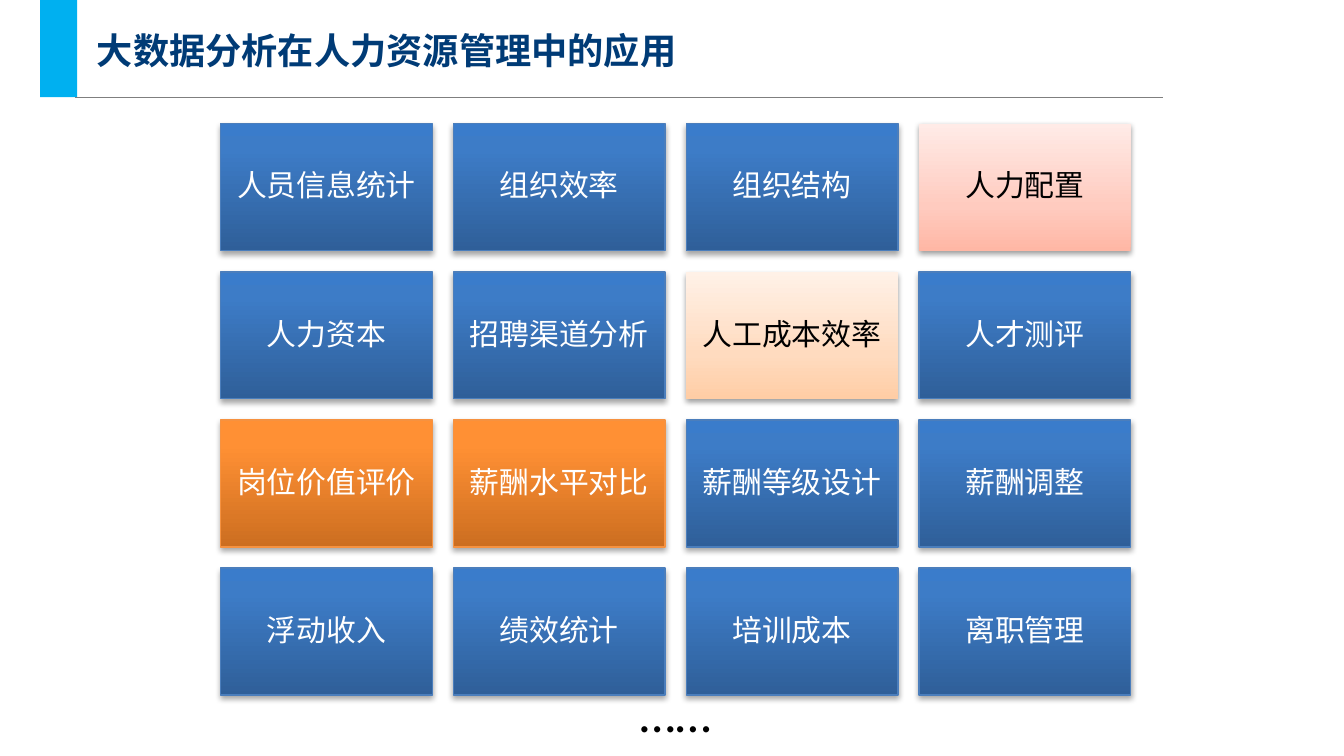
from lxml import etree
from pptx import Presentation
from pptx.dml.color import RGBColor
from pptx.enum.shapes import MSO_CONNECTOR, MSO_SHAPE
from pptx.enum.text import MSO_ANCHOR as ANCHOR, MSO_AUTO_SIZE as AUTO, PP_ALIGN as ALIGN
from pptx.oxml import parse_xml
from pptx.oxml.ns import nsdecls, qn
from pptx.util import Cm, Pt

TITLE = "大数据分析在人力资源管理中的应用"
MORE = "……"
TOPICS = [
    [("人员信息统计", "blue"), ("组织效率", "blue"), ("组织结构", "blue"), ("人力配置", "pink")],
    [("人力资本", "blue"), ("招聘渠道分析", "blue"), ("人工成本效率", "peach"), ("人才测评", "blue")],
    [("岗位价值评价", "orange"), ("薪酬水平对比", "orange"), ("薪酬等级设计", "blue"), ("薪酬调整", "blue")],
    [("浮动收入", "blue"), ("绩效统计", "blue"), ("培训成本", "blue"), ("离职管理", "blue")],
]

CYAN = RGBColor(0x00, 0xB0, 0xF0)
NAVY = RGBColor(0x00, 0x3B, 0x76)
GRAY = RGBColor(0x7F, 0x7F, 0x7F)
WHITE = RGBColor(0xFF, 0xFF, 0xFF)
BLACK = RGBColor(0x00, 0x00, 0x00)
BLUE_EDGE = RGBColor(0x4B, 0x7E, 0xBC)
ORANGE_EDGE = RGBColor(0xF6, 0x92, 0x40)

STYLES = {
    "blue": ([(0, "2F5F99"), (80, "3D7CC7"), (100, "3A7CCB")], BLUE_EDGE, WHITE),
    "orange": ([(0, "CC6E20"), (80, "FF9034"), (100, "FF9136")], ORANGE_EDGE, WHITE),
    "pink": ([(0, "FFB7A5"), (35, "FFCBBF"), (100, "FFEBE7")], None, BLACK),
    "peach": ([(0, "FFCDA5"), (35, "FFDBBF"), (100, "FFF1E7")], None, BLACK),
}
CJK = "Noto Sans CJK SC"
LEFT, TOP, TILE_W, TILE_H, GAP = 4.17, 2.34, 4, 2.4, 0.4


def write(tf, text, size, color, font=CJK, bold=False):
    tf.text = text
    p = tf.paragraphs[0]
    r = p.runs[0]
    r.font.size, r.font.bold, r.font.name = Pt(size), bold, font
    r.font.color.rgb = color
    etree.SubElement(r.font._element, qn("a:ea"), typeface=font)
    return p


def set_margins(tf, side, end):
    tf.margin_left = tf.margin_right = Cm(side)
    tf.margin_top = tf.margin_bottom = Cm(end)


def set_gradient(sp, stops):
    gs = "".join(f'<a:gs pos="{pos * 1000}"><a:srgbClr val="{c}"/></a:gs>' for pos, c in stops)
    sp._element.spPr.find(qn("a:prstGeom")).addnext(parse_xml(
        f'<a:gradFill {nsdecls("a")} rotWithShape="1"><a:gsLst>{gs}</a:gsLst>'
        '<a:lin ang="16200000" scaled="0"/></a:gradFill>'))


def set_shadow(sp, distance, opacity):
    sp.shadow.inherit = False
    sp._element.spPr.find(qn("a:effectLst")).append(parse_xml(
        f'<a:outerShdw {nsdecls("a")} blurRad="{Pt(3.1)}" dist="{Pt(distance)}" dir="5400000" '
        f'rotWithShape="0"><a:srgbClr val="000000"><a:alpha val="{opacity * 1000}"/>'
        '</a:srgbClr></a:outerShdw>'))


def add_tile(s, row, col, text, style):
    stops, edge, color = STYLES[style]
    sp = s.shapes.add_shape(
        MSO_SHAPE.RECTANGLE, Cm(LEFT + col * (TILE_W + GAP)), Cm(TOP + row * (TILE_H + GAP)),
        Cm(TILE_W), Cm(TILE_H))
    set_gradient(sp, stops)
    if edge:
        sp.line.color.rgb = edge
        sp.line.width = Pt(0.75)
        set_shadow(sp, 1.8, 35)
    else:
        sp.line.fill.background()
        set_shadow(sp, 1.6, 38)
    tf = sp.text_frame
    tf.word_wrap = True
    tf.vertical_anchor = ANCHOR.MIDDLE
    set_margins(tf, 0.17, 0.17)
    p = write(tf, text, 16, color)
    p.alignment = ALIGN.CENTER
    p.line_spacing = 0.9
    p.space_after = Pt(5.6)


def add_header(s):
    bar = s.shapes.add_shape(MSO_SHAPE.RECTANGLE, Cm(0.76), Cm(-0.05), Cm(0.7), Cm(1.89))
    bar.shadow.inherit = False
    bar.fill.solid()
    bar.fill.fore_color.rgb = CYAN
    bar.line.fill.background()
    rule = s.shapes.add_connector(MSO_CONNECTOR.STRAIGHT, Cm(1.42), Cm(1.84), Cm(21.97), Cm(1.84))
    rule.line.color.rgb = GRAY
    rule.line.width = Pt(0.75)
    etree.SubElement(rule._element.spPr, qn("a:effectLst"))
    title = s.shapes.title
    title.left, title.top, title.width, title.height = Cm(1.65), Cm(0.28), Cm(15.2), Cm(1.32)
    tf = title.text_frame
    tf.word_wrap = True
    tf.auto_size = AUTO.NONE
    tf.vertical_anchor = ANCHOR.MIDDLE
    set_margins(tf, 0.18, 0.08)
    write(tf, TITLE, 19.4, NAVY, bold=True).alignment = ALIGN.LEFT


def main():
    prs = Presentation()
    prs.slide_width, prs.slide_height = Cm(25.4), Cm(14.29)
    s = prs.slides.add_slide(prs.slide_layouts[5])
    add_header(s)
    more = s.shapes.add_textbox(Cm(11.84), Cm(12.75), Cm(1.88), Cm(1.45))
    more.text_frame.word_wrap = False
    write(more.text_frame, MORE, 27.7, BLACK, font="Calibri")
    for row, topics in enumerate(TOPICS):
        for col, (text, style) in enumerate(topics):
            add_tile(s, row, col, text, style)
    prs.save("out.pptx")


if __name__ == "__main__":
    main()
